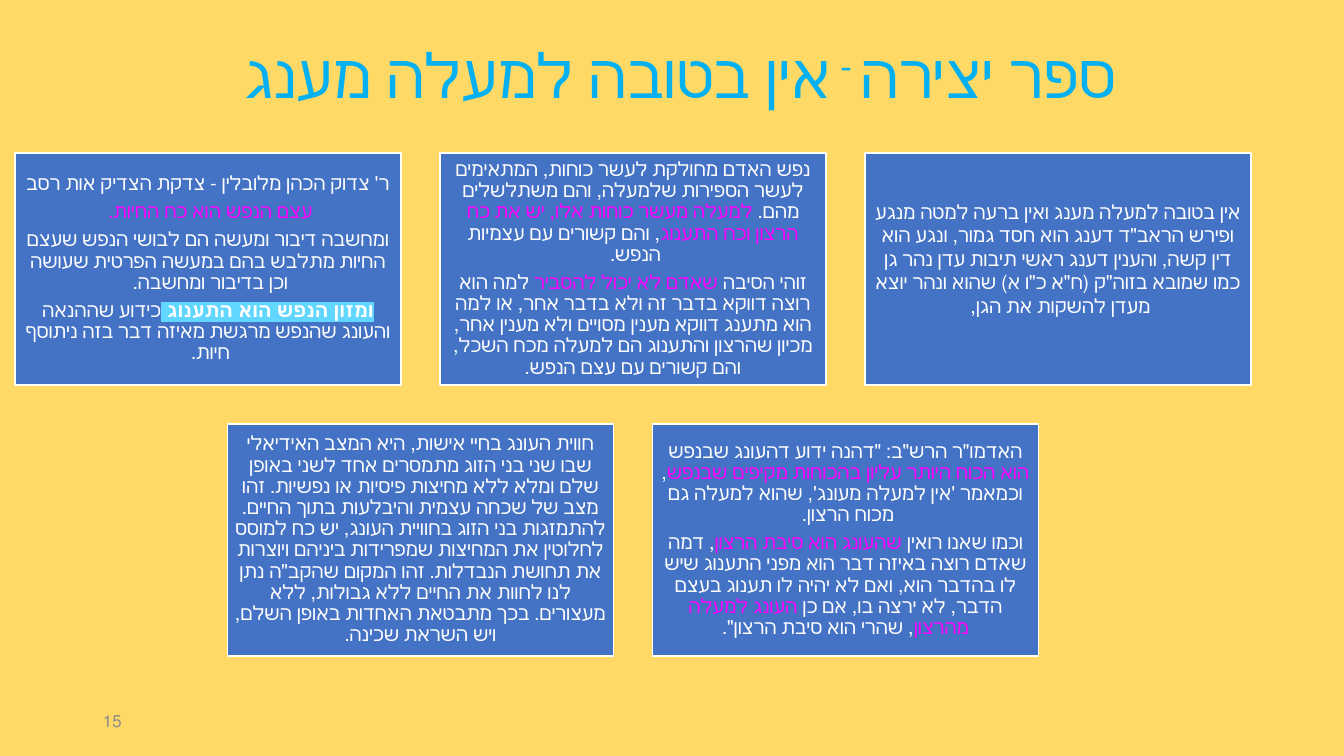
from dataclasses import dataclass

import lxml.etree
import pptx
import pptx.dml.color
import pptx.enum.lang
import pptx.enum.shapes
import pptx.enum.text
import pptx.oxml.ns
import pptx.util
from pptx.dml.color import RGBColor

PX = 914400 / 100.8
FONT = "Calibri"

SAND = RGBColor(0xFF, 0xD9, 0x66)
BLUE = RGBColor(0x44, 0x72, 0xC4)
SKY = RGBColor(0x00, 0xB0, 0xF0)
CYAN = RGBColor(0x61, 0xD6, 0xFF)
MAGENTA = RGBColor(0xFF, 0x00, 0xFF)
WHITE = RGBColor(0xFF, 0xFF, 0xFF)
GREY = RGBColor(0x8C, 0x8C, 0x8C)

CENTER = pptx.enum.text.PP_ALIGN.CENTER
LEFT = pptx.enum.text.PP_ALIGN.LEFT
TOP = pptx.enum.text.MSO_ANCHOR.TOP
MIDDLE = pptx.enum.text.MSO_ANCHOR.MIDDLE

CARD_W, CARD_H, GAP = 386, 232, 39
GRID_LEFT, GRID_TOP = 15, 153
INSET = 6


@dataclass(frozen=True)
class Run:
    text: str
    color: RGBColor = WHITE
    bold: bool = False
    highlight: RGBColor | None = None
    baseline: int = 0


@dataclass(frozen=True)
class Card:
    row: int
    col: int
    paragraphs: list[list[Run]]
    line_spacing: float = 0.9
    bottom_inset: int = INSET


def key(text: str) -> Run:
    """Run in the colour of a key idea."""
    return Run(text, MAGENTA)


CARDS = [
    Card(0, 0, [
        [Run("ר' צדוק הכהן מלובלין - צדקת הצדיק אות רסב")],
        [key("עצם הנפש הוא כח החיות. ")],
        [Run("ומחשבה דיבור ומעשה הם לבושי הנפש שעצם החיות מתלבש בהם "
             "במעשה הפרטית שעושה וכן בדיבור ומחשבה. ")],
        [Run("ומזון הנפש הוא התענוג ", bold=True, highlight=CYAN),
         Run("כידוע שההנאה והעונג שהנפש מרגשת מאיזה דבר בזה ניתוסף חיות. ")],
    ]),
    Card(0, 1, [
        [Run("נפש האדם מחולקת לעשר כוחות, המתאימים לעשר הספירות שלמעלה, "
             "והם משתלשלים מהם. "),
         key("למעלה מעשר כוחות אלו, יש את כח הרצון וכח התענוג"),
         Run(", והם קשורים עם עצמיות הנפש. ")],
        [Run("זוהי הסיבה "),
         key("שאדם לא יכול להסביר "),
         Run("למה הוא רוצה דווקא בדבר זה ולא בדבר אחר, או למה הוא מתענג "
             "דווקא מענין מסויים ולא מענין אחר, מכיון שהרצון והתענוג הם "
             "למעלה מכח השכל, והם קשורים עם עצם הנפש.")],
    ]),
    Card(0, 2, [
        [Run("אין בטובה למעלה מענג ואין ברעה למטה מנגע ופירש הראב\"ד דענג "
             "הוא חסד גמור, ונגע הוא דין קשה, והענין דענג ראשי תיבות עדן "
             "נהר גן כמו שמובא בזוה\"ק (ח\"א כ\"ו א) שהוא ונהר יוצא מעדן "
             "להשקות את הגן, ")],
    ], line_spacing=1.0, bottom_inset=27),
    Card(1, 0, [
        [Run("חווית העונג בחיי אישות, היא המצב האידיאלי שבו שני בני הזוג "
             "מתמסרים אחד לשני באופן שלם ומלא ללא מחיצות פיסיות או נפשיות. "
             "זהו מצב של שכחה עצמית והיבלעות בתוך החיים. להתמזגות בני הזוג "
             "בחוויית העונג, יש כח למוסס לחלוטין את המחיצות שמפרידות ביניהם "
             "ויוצרות את תחושת הנבדלות. זהו המקום שהקב\"ה נתן לנו לחוות את "
             "החיים ללא גבולות, ללא מעצורים. בכך מתבטאת האחדות באופן השלם, "
             "ויש השראת שכינה.")],
    ]),
    Card(1, 1, [
        [Run("האדמו\"ר הרש\"ב: \"דהנה ידוע דהעונג שבנפש "),
         key("הוא הכוח היותר עליון בהכוחות מקיפים שבנפש"),
         Run(", וכמאמר 'אין למעלה מעונג', שהוא למעלה גם מכוח הרצון. ")],
        [Run("וכמו שאנו רואין "),
         key("שהעונג הוא סיבת הרצון"),
         Run(", דמה שאדם רוצה באיזה דבר הוא מפני התענוג שיש לו בהדבר הוא, "
             "ואם לא יהיה לו תענוג בעצם הדבר, לא ירצה בו, אם כן "),
         key("העונג למעלה מהרצון"),
         Run(", שהרי הוא סיבת הרצון\".")],
    ]),
]


def px(n: float) -> int:
    return round(n * PX)


def add_run(p, run: Run, size: int) -> None:
    r = p.add_run()
    r.text = run.text
    r.font.size = pptx.util.Pt(size)
    r.font.bold = run.bold
    r.font.color.rgb = run.color
    r.font.language_id = pptx.enum.lang.MSO_LANGUAGE_ID.HEBREW
    rpr = r._r.get_or_add_rPr()
    if run.baseline:
        rpr.set("baseline", str(run.baseline * 1000))
    if run.highlight is not None:
        qn = pptx.oxml.ns.qn
        mark = lxml.etree.SubElement(rpr, qn("a:highlight"))
        lxml.etree.SubElement(mark, qn("a:srgbClr"), val=str(run.highlight))
    r.font.name = FONT


def write_text(sp, paragraphs: list[list[Run]], *, size: int, align=CENTER,
               anchor=MIDDLE, line_spacing: float = 0.9, space_after: int = 0,
               insets: tuple[int, int, int, int] = (10, 5, 10, 5)) -> None:
    """Fill a shape with right-to-left text; insets are left, top, right, bottom."""
    tf = sp.text_frame
    tf.word_wrap = True
    tf.vertical_anchor = anchor
    (tf.margin_left, tf.margin_top,
     tf.margin_right, tf.margin_bottom) = map(px, insets)
    for i, runs in enumerate(paragraphs):
        p = tf.add_paragraph() if i else tf.paragraphs[0]
        p.alignment = align
        p.line_spacing = line_spacing
        p.space_after = pptx.util.Pt(space_after)
        p._p.get_or_add_pPr().set("rtl", "1")
        for run in runs:
            add_run(p, run, size)


def add_box(s, left: int, top: int, width: int, height: int):
    return s.shapes.add_textbox(px(left), px(top), px(width), px(height))


def add_card(s, card: Card) -> None:
    """Place a card on the grid; each row is shifted by half a column."""
    left = GRID_LEFT + (card.col + card.row / 2) * (CARD_W + GAP)
    top = GRID_TOP + card.row * (CARD_H + GAP)
    sp = s.shapes.add_shape(pptx.enum.shapes.MSO_SHAPE.RECTANGLE,
                            px(left), px(top), px(CARD_W), px(CARD_H))
    sp.shadow.inherit = False
    sp.fill.solid()
    sp.fill.fore_color.rgb = BLUE
    sp.line.color.rgb = WHITE
    sp.line.width = pptx.util.Pt(1)
    write_text(sp, card.paragraphs, size=14, space_after=5,
               line_spacing=card.line_spacing,
               insets=(INSET, INSET, INSET, card.bottom_inset))


def main() -> None:
    prs = pptx.Presentation()
    prs.slide_width, prs.slide_height = px(1344), px(756)
    s = prs.slides.add_slide(prs.slide_layouts[6])
    s.background.fill.solid()
    s.background.fill.fore_color.rgb = SAND

    title = [Run("ספר יצירה", SKY), Run(" - ", SKY, baseline=30),
             Run("אין בטובה למעלה מענג ", SKY)]
    write_text(add_box(s, 93, 40, 1159, 146), [title], size=44, anchor=TOP)
    for card in CARDS:
        add_card(s, card)
    write_text(add_box(s, 93, 701, 302, 40), [[Run("15", GREY)]],
               size=12, align=LEFT, line_spacing=1.0)
    prs.save("out.pptx")


if __name__ == "__main__":
    main()
